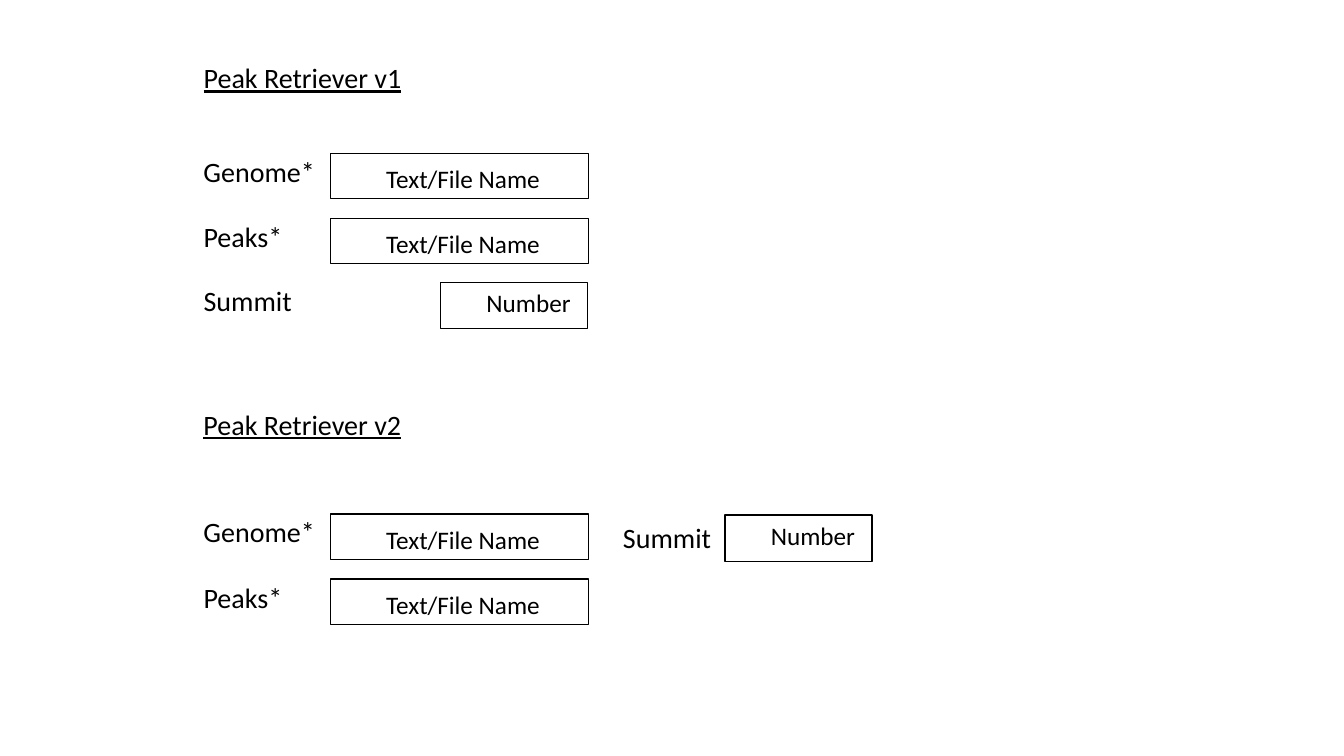
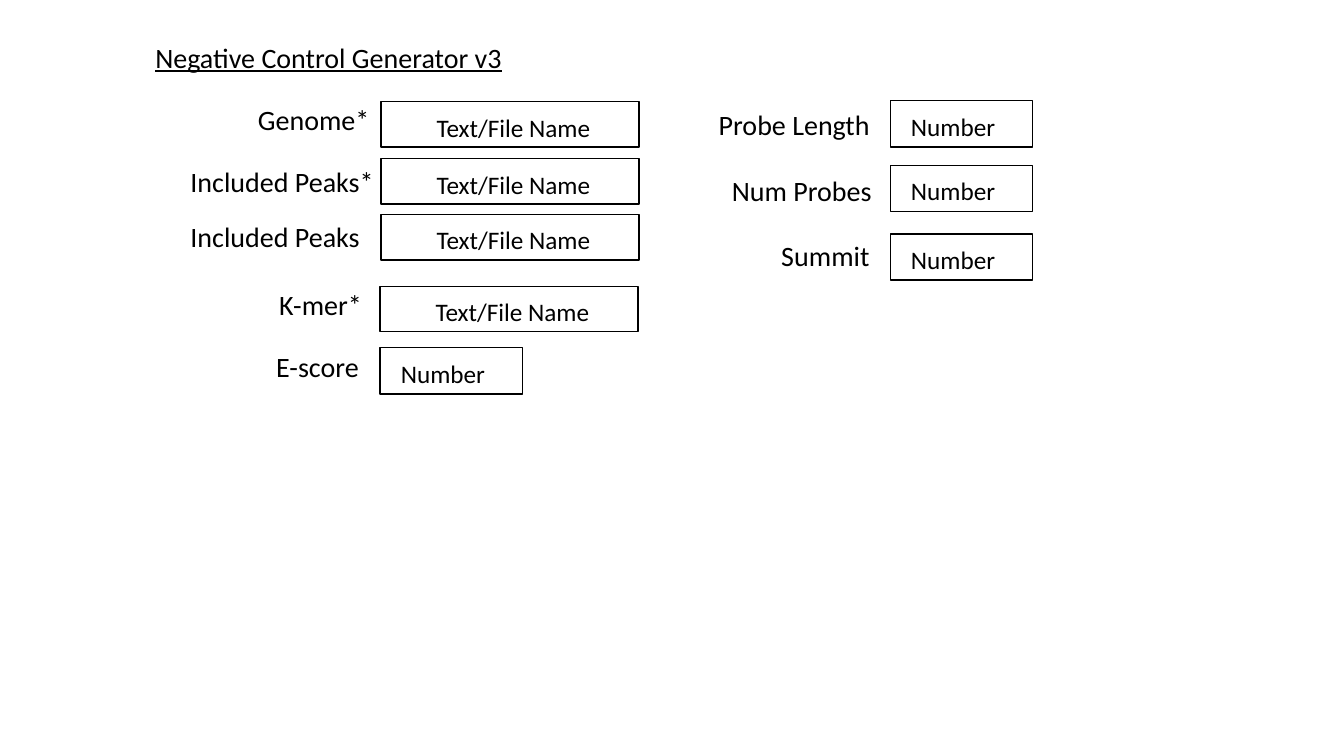
"""Build two slides sketching the input forms of the peak and control tools."""
from dataclasses import dataclass

from pptx import Presentation
from pptx.dml.color import RGBColor
from pptx.enum.shapes import MSO_SHAPE
from pptx.enum.text import MSO_ANCHOR, MSO_AUTO_SIZE, PP_ALIGN
from pptx.util import Inches, Pt

RECTANGLE = MSO_SHAPE.RECTANGLE
TOP = MSO_ANCHOR.TOP
LEFT = PP_ALIGN.LEFT
NO_AUTOFIT = MSO_AUTO_SIZE.NONE

GRID = Inches(0.1)
FONT = "Calibri"
INK = "000000"
PAPER = "FFFFFF"
LABEL_SIZE = 20
ENTRY_SIZE = 18
LABEL_ROWS = 4.4
PAD_X = 1
PAD_Y = 0.5
TITLE_ONLY = 5


@dataclass(frozen=True)
class Entry:
    """A kind of input box, measured in grid columns and rows."""
    prompt: str
    columns: float
    rows: float
    inset_x: float
    inset_y: float


@dataclass(frozen=True)
class Label:
    """A line of text, placed in grid columns and rows."""
    text: str
    column: float
    row: float
    columns: float


@dataclass(frozen=True)
class Field:
    """A label with the input box that belongs to it."""
    label: Label
    entry: Entry
    column: float
    row: float


FILE = Entry("Text/File Name", 25.6, 4.5, 5.5, 1)
SUMMIT = Entry("Number", 14.6, 4.6, 4.55, 0.5)
NUMBER = Entry("Number", 14.1, 4.6, 2.05, 1)

FORM_COLUMN = 19.2
FILE_COLUMN = 32.8
ROW_PITCH = 6.45
V1_ROW = 15.2
V2_ROW = 51
LABEL_RISE = 0.4


def file_fields(first_row: float) -> list[Field]:
    """Return the genome and peaks fields shared by both retriever versions."""
    return [
        Field(Label(name, FORM_COLUMN, first_row + i * ROW_PITCH - LABEL_RISE, columns),
              FILE, FILE_COLUMN, first_row + i * ROW_PITCH)
        for i, (name, columns) in enumerate([("Genome*", 13.6), ("Peaks*", 15.1)])
    ]


RETRIEVER_TITLE = Label("Peak Retriever v1", FORM_COLUMN, 5.5, 23.3)
RETRIEVER_V2 = Label("Peak Retriever v2", FORM_COLUMN, 39.9, 23.3)
RETRIEVER_FIELDS = [
    *file_fields(V1_ROW),
    Field(Label("Summit", FORM_COLUMN, 27.6, 17.8), SUMMIT, 43.7, 28),
    *file_fields(V2_ROW),
    Field(Label("Summit", 60.8, 51.1, 17.8), SUMMIT, 71.9, 51.1),
]

CONTROL_TITLE = Label("Negative Control Generator v3", 14.4, 3.5, 39)
CONTROL_FIELDS = [
    Field(Label("Genome*", 24.6, 9.7, 15.1), FILE, 37.8, 10.1),
    Field(Label("Included Peaks*", 17.9, 15.8, 20.5), FILE, 37.8, 15.75),
    Field(Label("Included Peaks", 17.9, 21.3, 19.5), FILE, 37.8, 21.3),
    Field(Label("K-mer*", 26.7, 28, 15.1), FILE, 37.7, 28.4),
    Field(Label("E-score", 26.4, 34.2, 11.5), NUMBER, 37.7, 34.5),
    Field(Label("Probe Length", 70.3, 10.2, 17.4), NUMBER, 88.3, 10),
    Field(Label("Num Probes", 71.6, 16.7, 16.6), NUMBER, 88.3, 16.4),
    Field(Label("Summit", 76.5, 23.2, 10.9), NUMBER, 88.3, 23.2),
]


def cells(count: float) -> int:
    """Convert grid cells to a length."""
    return round(count * GRID)


def color(code: str) -> RGBColor:
    """Convert a hex string to a colour."""
    return RGBColor.from_string(code)


def write(frame, text: str, size: int, inset_x: float = PAD_X,
          inset_y: float = PAD_Y, underline: bool = False) -> None:
    """Set one left-aligned line at the top of a text frame."""
    frame.auto_size = NO_AUTOFIT
    frame.word_wrap = True
    frame.vertical_anchor = TOP
    frame.margin_left, frame.margin_right = cells(inset_x), 0
    frame.margin_top, frame.margin_bottom = cells(inset_y), 0
    line = frame.paragraphs[0]
    line.text = text
    line.alignment = LEFT
    line.font.name = FONT
    line.font.size = Pt(size)
    line.font.color.rgb = color(INK)
    if underline:
        line.font.underline = True


def add_label(slide, label: Label, underline: bool = False) -> None:
    """Add a label as a text box."""
    box = slide.shapes.add_textbox(cells(label.column), cells(label.row),
                                   cells(label.columns), cells(LABEL_ROWS))
    write(box.text_frame, label.text, LABEL_SIZE, underline=underline)


def add_field(slide, field: Field) -> None:
    """Add an input box and its label."""
    entry = field.entry
    box = slide.shapes.add_shape(RECTANGLE, cells(field.column), cells(field.row),
                                 cells(entry.columns), cells(entry.rows))
    box.shadow.inherit = False
    box.fill.solid()
    box.fill.fore_color.rgb = color(PAPER)
    box.line.color.rgb = color(INK)
    box.line.width = Pt(1)
    write(box.text_frame, entry.prompt, ENTRY_SIZE, entry.inset_x, entry.inset_y)
    add_label(slide, field.label)


def add_form(deck, heading: Label, fields: list[Field]):
    """Add a slide with a title and its fields."""
    slide = deck.slides.add_slide(deck.slide_layouts[TITLE_ONLY])
    title = slide.shapes.title
    title.left, title.top = cells(heading.column), cells(heading.row)
    title.width, title.height = cells(heading.columns), cells(LABEL_ROWS)
    write(title.text_frame, heading.text, LABEL_SIZE, underline=True)
    for field in fields:
        add_field(slide, field)
    return slide


def main() -> None:
    """Build and save the deck."""
    deck = Presentation()
    deck.slide_width, deck.slide_height = Inches(13.33), Inches(7.5)
    retriever = add_form(deck, RETRIEVER_TITLE, RETRIEVER_FIELDS)
    add_label(retriever, RETRIEVER_V2, underline=True)
    add_form(deck, CONTROL_TITLE, CONTROL_FIELDS)
    deck.save("out.pptx")


if __name__ == "__main__":
    main()
